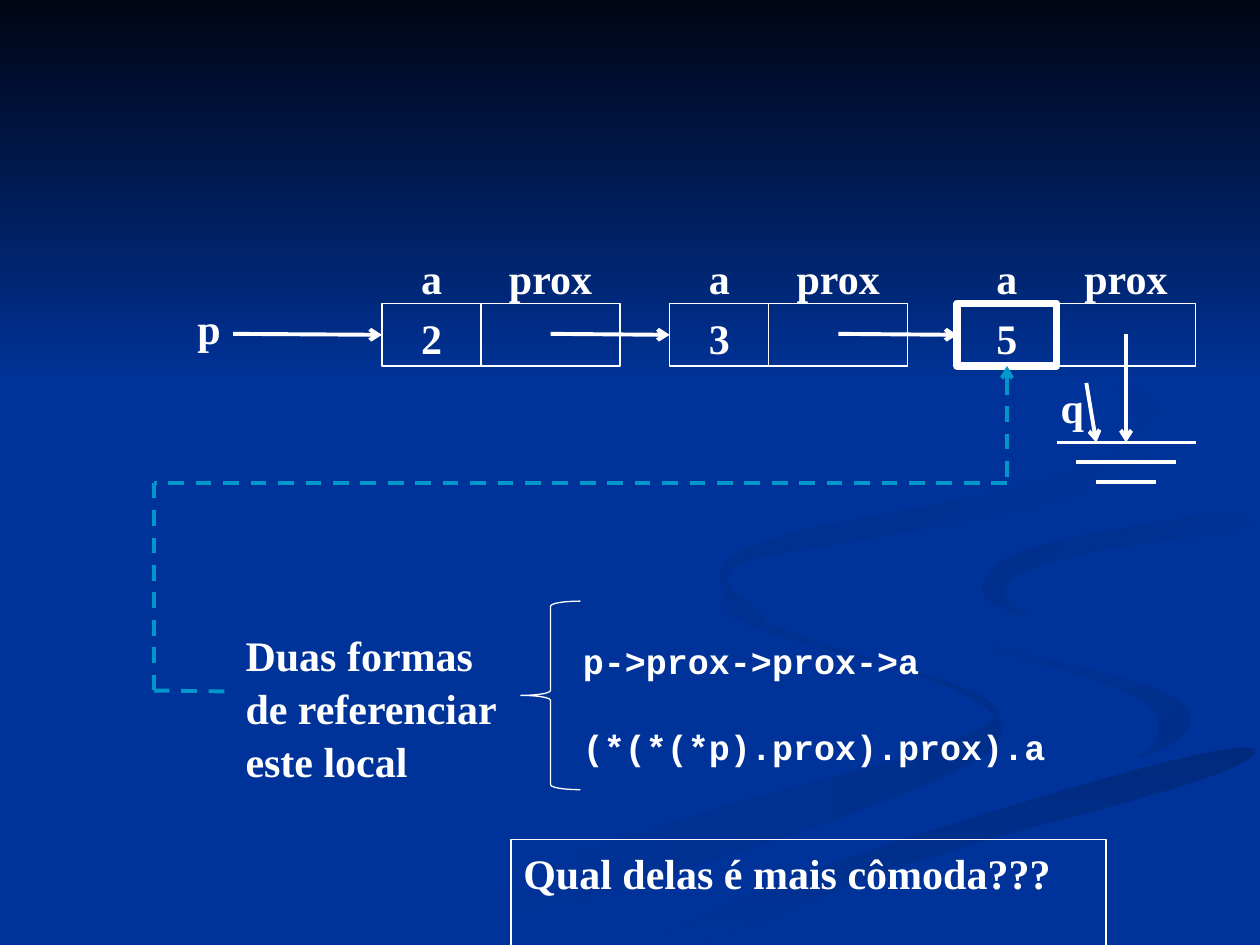
from lxml import etree
from pptx import Presentation
from pptx.dml.color import RGBColor
from pptx.enum.dml import MSO_LINE
from pptx.enum.shapes import MSO_CONNECTOR, MSO_SHAPE
from pptx.enum.text import MSO_ANCHOR, PP_ALIGN
from pptx.oxml.ns import qn
from pptx.util import Cm, Pt

LEFT, CENTER, RIGHT = PP_ALIGN.LEFT, PP_ALIGN.CENTER, PP_ALIGN.RIGHT
TOP = MSO_ANCHOR.TOP
STRAIGHT = MSO_CONNECTOR.STRAIGHT
DASH = MSO_LINE.DASH
RECT, BRACE = MSO_SHAPE.RECTANGLE, MSO_SHAPE.LEFT_BRACE
SIDE_LEFT, SIDE_BOTTOM = 1, 2

THEME = dict(
    bg="003399", night="000514", ink="FFFFFF", trail="0098CC",
    dim="002E8B", dark="002A7D",
    serif="Times New Roman", mono="Courier New",
    size=24, code_size=20, spacing=1.05,
    thin=0.75, medium=2.25, thick=4.5,
)

# Content
NODES = ["2", "3", "5"]
FIELDS = ["a", "prox"]
CAPTION = "Duas formas de referenciar este local"
CODE = ["p->prox->prox->a", "(*(*(*p).prox).prox).a"]
QUESTION = "Qual delas é mais cômoda???"

# Background ribbons: two colours, clockwise angle, control points in cm
RIBBONS = [
    ("bg", "dim", 0, [
        (14.5, 11.8), (14.6, 12.6), (20, 13.9), (20.2, 14.8), (12.7, 16.7),
        (7.6, 19), (9.2, 19), (19.8, 15.6), (20.5, 14.2), (15, 12.5)]),
    ("bg", "dim", 45, [
        (18.4, 11.7), (18.7, 12.8), (23.3, 14), (23.4, 15),
        (22.7, 15.4), (24.1, 14.8), (23.8, 13.9), (19, 12.8)]),
    ("dark", "bg", 90, [
        (12.8, 19), (14.5, 19), (18, 17.4), (25.3, 15.5),
        (25.3, 14.8), (17.5, 17.1)]),
    ("dim", "bg", 45, [
        (19.8, 11.7), (19.8, 12.1), (21, 12.6), (19.9, 11.8),
        (21.8, 11.1), (25.3, 10.7), (25.3, 10.2), (20.5, 11)]),
    ("dim", "bg", 45, [
        (17.4, 10.9), (23, 9.8), (23.8, 8), (19.4, 5.9), (23.6, 8.4),
        (21.6, 9.7), (14.7, 10.9), (14.4, 12), (15.8, 12.7), (14.1, 11.4)]),
]
SMOOTHING = 3

# Layout in centimetres
ROW_TOP, CELL_H, PITCH = 6.12, 1.26, 5.8
LIST_LEFT = 7.7
FIELD_W = [2, 2.8]
ARROW_Y, GROUND_Y, GROUND_GAP = 6.73, 8.92, 0.4
GROUND_W = [2.8, 2, 1.2]
TRAIL = [(20.3, 9.73), (3.1, 9.73), (3.1, 13.92), (4.7, 13.94)]


def rgb(name):
    return RGBColor.from_string(THEME[name])


def write(sp, text, size="size", font="serif", align=LEFT, gap=0):
    tf = sp.text_frame
    tf.word_wrap = True
    tf.vertical_anchor = TOP
    lines = [text] if isinstance(text, str) else text
    for i, words in enumerate(lines):
        p = tf.add_paragraph() if i else tf.paragraphs[0]
        p.alignment, p.line_spacing = align, THEME["spacing"]
        p.space_before = Pt(gap if i else 0)
        r = p.add_run()
        r.text = words
        r.font.name, r.font.size = THEME[font], Pt(THEME[size])
        r.font.bold = True
        r.font.color.rgb = rgb("ink")


def label(s, text, x, y, w, h=CELL_H, **fmt):
    write(s.shapes.add_textbox(Cm(x), Cm(y), Cm(w), Cm(h)), text, **fmt)


def outline(s, x, y, w, h, kind=RECT, weight="thin"):
    sp = s.shapes.add_shape(kind, Cm(x), Cm(y), Cm(w), Cm(h))
    sp.shadow.inherit = False
    sp.fill.background()
    sp.line.color.rgb = rgb("ink")
    sp.line.width = Pt(THEME[weight])
    return sp


def line(s, start, end, color="ink", dash=None, arrow=None):
    """arrow is headEnd (at start) or tailEnd (at end)."""
    c = s.shapes.add_connector(STRAIGHT, *[Cm(v) for v in (*start, *end)])
    c.line.color.rgb = rgb(color)
    c.line.width = Pt(THEME["medium"])
    if dash:
        c.line.dash_style = dash
    if arrow:
        ln = c._element.spPr.find(qn("a:ln"))
        etree.SubElement(ln, qn("a:" + arrow), type="arrow")
    etree.SubElement(c._element.spPr, qn("a:effectLst"))
    return c


def gradient(sp, first, last, angle):
    sp.shadow.inherit = False
    sp.line.fill.background()
    sp.fill.gradient()
    sp.fill.gradient_angle = (360 - angle) % 360
    for stop, color in zip(sp.fill.gradient_stops, (first, last)):
        stop.color.rgb = rgb(color)


def smooth(points):
    """Cut each corner at a quarter of its sides, several times over."""
    for _ in range(SMOOTHING):
        pairs = zip(points, points[1:] + points[:1])
        points = [(a[0] + (b[0] - a[0]) * t, a[1] + (b[1] - a[1]) * t)
                  for a, b in pairs for t in (0.25, 0.75)]
    return [(Cm(x), Cm(y)) for x, y in points]


def main():
    prs = Presentation()
    prs.slide_width, prs.slide_height = Cm(25.4), Cm(19.05)
    s = prs.slides.add_slide(prs.slide_layouts[6])

    # Background
    s.background.fill.solid()
    s.background.fill.fore_color.rgb = rgb("bg")
    for first, last, angle, controls in RIBBONS:
        points = smooth(controls)
        fb = s.shapes.build_freeform(*points[0])
        fb.add_line_segments(points[1:], close=True)
        gradient(fb.convert_to_shape(), first, last, angle)
    band = s.shapes.add_shape(RECT, 0, 0, prs.slide_width, Cm(7.82))
    gradient(band, "night", "bg", 90)

    # Linked list; each arrow runs into the next value cell
    label(s, "p", 2.7, 5.92, 2, align=RIGHT)
    source = (4.7, ARROW_Y)
    for i, value in enumerate(NODES):
        x = LIST_LEFT + i * PITCH
        lefts = [x, x + FIELD_W[0]]
        for name, left, w in zip(FIELDS, lefts, FIELD_W):
            label(s, name, left, ROW_TOP - 1.2, w, align=CENTER)
        outline(s, lefts[1], ROW_TOP, FIELD_W[1], CELL_H)
        weight = "thick" if i == len(NODES) - 1 else "thin"
        cell = outline(s, x, ROW_TOP, FIELD_W[0], CELL_H, weight=weight)
        write(cell, value, align=CENTER)
        arrow = line(s, source, (x, ARROW_Y), arrow="tailEnd")
        arrow.end_connect(cell, SIDE_LEFT)
        source = (lefts[1] + FIELD_W[1] / 2, ARROW_Y)

    # Null pointer symbol and q
    mid = source[0]
    line(s, source, (mid, GROUND_Y), arrow="tailEnd")
    for i, w in enumerate(GROUND_W):
        y = GROUND_Y + i * GROUND_GAP
        line(s, (mid - w / 2, y), (mid + w / 2, y))
    label(s, "q", 20.1, 7.52, 2, align=RIGHT)
    line(s, (21.9, 7.72), (22.1, GROUND_Y), arrow="tailEnd")

    # Dashed trail from the last value to the caption
    up = line(s, (20.3, 7.38), TRAIL[0], "trail", DASH, "headEnd")
    up.begin_connect(cell, SIDE_BOTTOM)
    for start, end in zip(TRAIL, TRAIL[1:]):
        line(s, start, end, "trail", DASH)

    # Caption, the two expressions and the question
    label(s, CAPTION, 4.7, 12.52, 6, 4.32)
    outline(s, 10.5, 12.12, 1.2, 3.8, BRACE)
    label(s, CODE, 11.5, 12.72, 10.8, 2.8,
          size="code_size", font="mono", gap=23.8)
    write(outline(s, 10.3, 16.92, 12, 2.28), QUESTION)

    prs.save("out.pptx")


if __name__ == "__main__":
    main()
